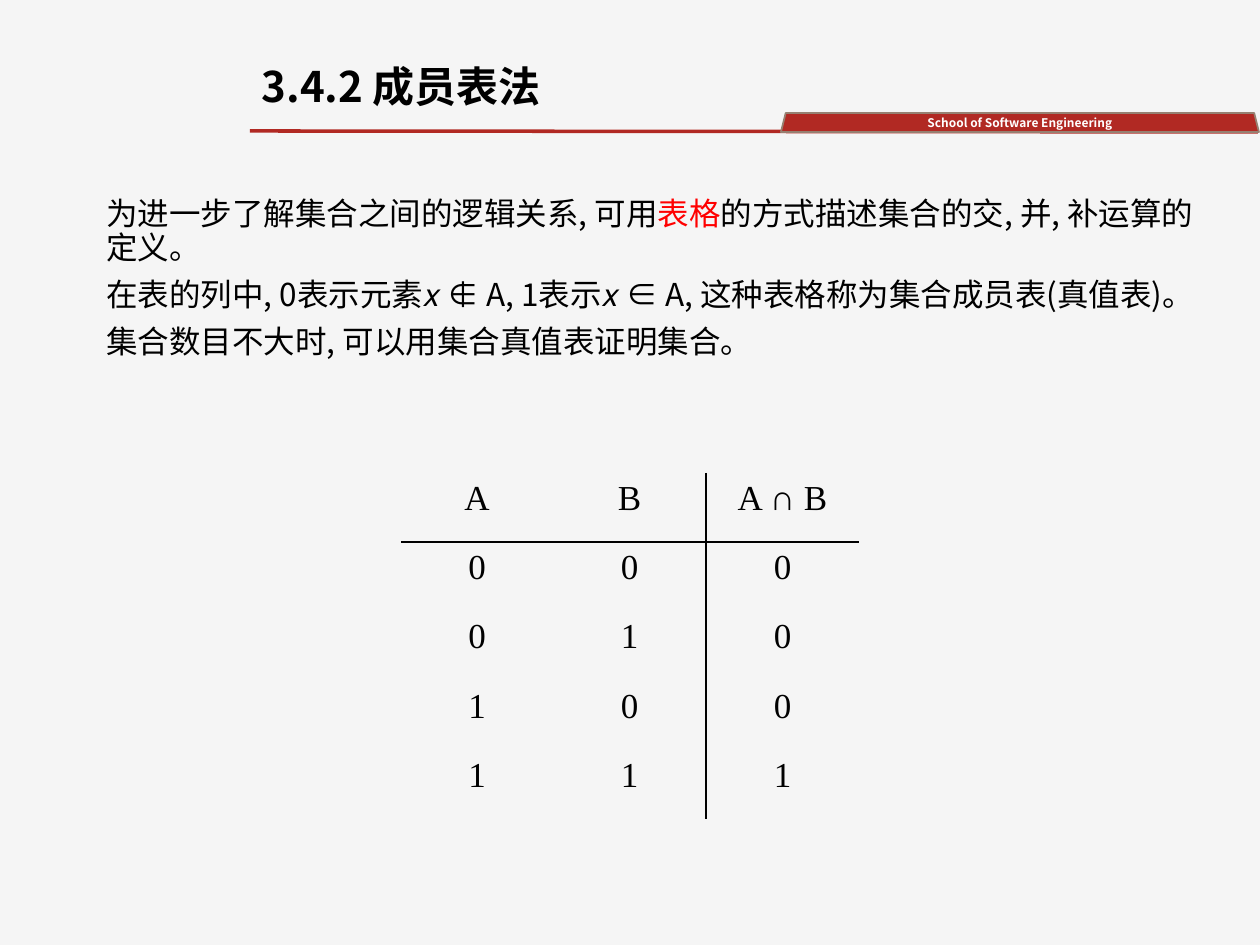
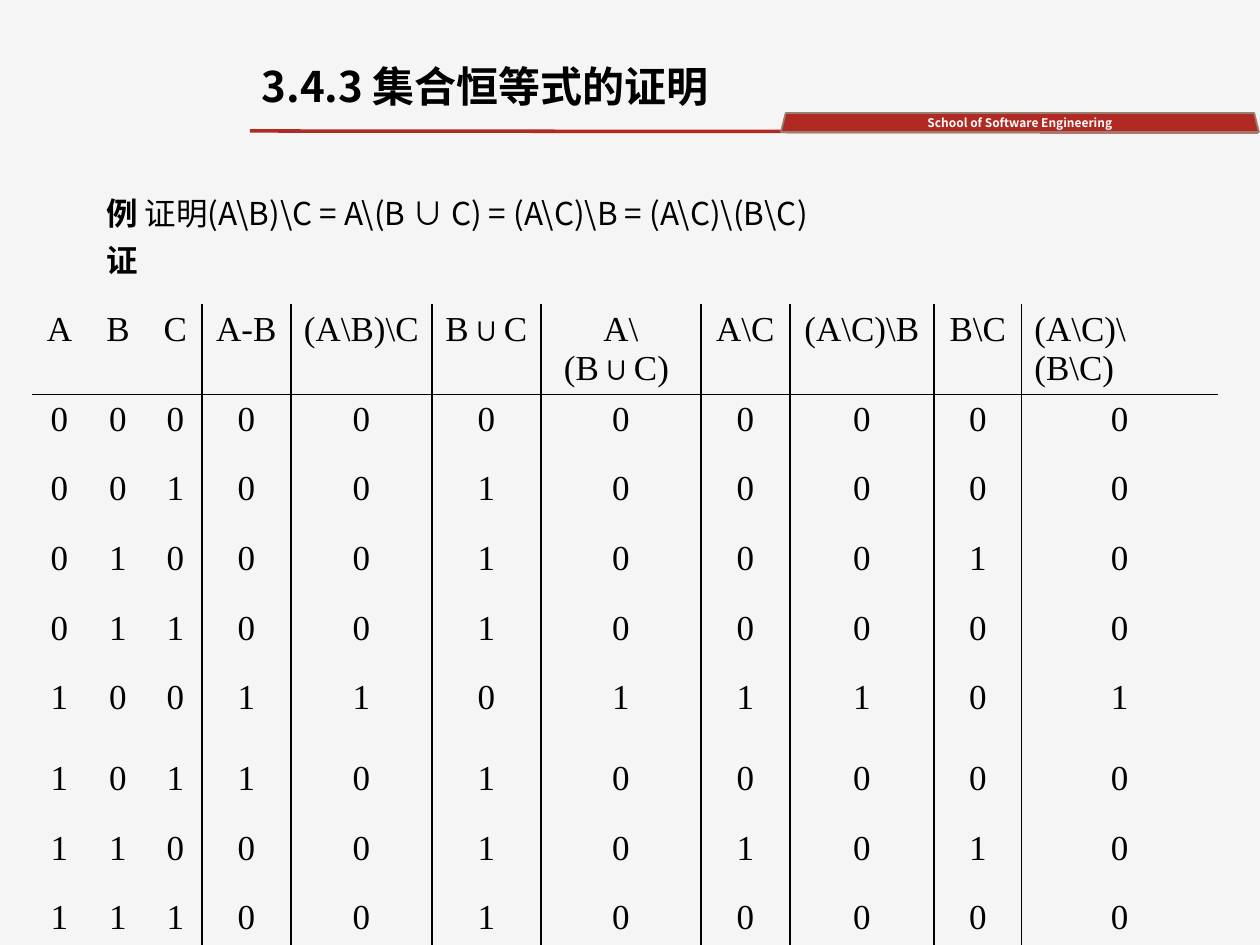
from itertools import product
from lxml.etree import SubElement
from pptx import Presentation
from pptx.dml.color import RGBColor
from pptx.enum.shapes import MSO_CONNECTOR, MSO_SHAPE
from pptx.enum.text import MSO_ANCHOR, MSO_AUTO_SIZE, PP_ALIGN
from pptx.oxml import parse_xml
from pptx.oxml.ns import nsdecls, qn
from pptx.util import Emu, Pt

COLORS = {"back": "F5F5F5", "band": "B12923", "edge": "968071",
          "ink": "000000", "white": "FFFFFF", "mark": "FF0000"}
RGB = {name: RGBColor.from_string(code) for name, code in COLORS.items()}
SANS, SERIF = "Noto Sans CJK SC", "Times New Roman"
PLAIN_TABLE = "{2D5ABB26-0587-4C30-8999-92F81FD0307C}"
LINE_GAP = 0.9
HEAD_ROW = 69
INK_LINE = f'<a:solidFill><a:srgbClr val="{COLORS["ink"]}"/></a:solidFill>'


def px(*sizes):
    """Turn lengths at 126 px to the inch into EMU."""
    return [Emu(round(size * 914400 / 126)) for size in sizes]


def style(par, size, color="ink", face=SANS, bold=False, align=PP_ALIGN.LEFT):
    """Format a paragraph, with one face for Latin and Chinese text."""
    par.alignment = align
    font = par.font
    font.size, font.bold, font.name = Pt(size), bold, face
    font.color.rgb = RGB[color]
    SubElement(font._element, qn("a:ea"), typeface=face)


pages = [
    {
        "title": "3.4.2 成员表法",
        # Each run is its text and its look: plain, bold or mark
        "body": [
            [("为进一步了解集合之间的逻辑关系, 可用", "plain"), ("表格", "mark"),
             ("的方式描述集合的交, 并, 补运算的定义。", "plain")],
            [("在表的列中, 0表示元素𝑥 ∉ A, 1表示𝑥 ∈ A, "
              "这种表格称为集合成员表(真值表)。", "plain")],
            [("集合数目不大时, 可以用集合真值表证明集合。", "plain")],
        ],
        "heads": ["A", "B", "A ∩ B"],
        "rows": [(a, b, a & b) for a, b in product((0, 1), repeat=2)],
        "place": (401, 473),
        "cols": [152, 153, 153],
        "heights": [69, 70, 69, 69],
        "sets": 2,
    },
    {
        "title": "3.4.3 集合恒等式的证明",
        "body": [
            [("例 ", "bold"),
             ("证明(A\\B)\\C = A\\(B ∪ C) = (A\\C)\\B = (A\\C)\\(B\\C)", "plain")],
            [("证", "bold")],
        ],
        "heads": ["A", "B", "C", "A-B", "(A\\B)\\C", "B∪C", "A\\(B∪C) ", "A\\C",
                  "(A\\C)\\B", "B\\C", "(A\\C)\\(B\\C)"],
        "rows": [(a, b, c, a & ~b, a & ~b & ~c, b | c, a & ~(b | c), a & ~c,
                  a & ~c & ~b, b & ~c, a & ~c & ~(b & ~c))
                 for a, b, c in product((0, 1), repeat=3)],
        "place": (32, 304),
        "cols": [55, 62, 53, 89, 141, 109, 160, 89, 144, 88, 196],
        "heights": [69, 70, 70, 69, 81, 70, 69, 70],
        "sets": 3,
    },
]

deck = Presentation()
deck.slide_width, deck.slide_height = px(1260, 945)
back = deck.slide_master.background.fill
back.solid()
back.fore_color.rgb = RGB["back"]

for page in pages:
    slide = deck.slides.add_slide(deck.slide_layouts[5])
    shapes = slide.shapes

    # Red rule and school band
    rule = shapes.add_connector(MSO_CONNECTOR.STRAIGHT, *px(250, 131, 1258, 132))
    rule.line.color.rgb = RGB["band"]
    rule.line.width = Pt(2)
    SubElement(rule._element.spPr, qn("a:effectLst"))
    band = shapes.add_shape(MSO_SHAPE.TRAPEZOID, *px(781, 113, 478, 19))
    band.shadow.inherit = False
    band.fill.solid()
    band.fill.fore_color.rgb = RGB["band"]
    band.line.color.rgb = RGB["edge"]
    band.line.width = Pt(1)
    frame = band.text_frame
    frame.margin_top = frame.margin_bottom = 0
    frame.vertical_anchor = MSO_ANCHOR.MIDDLE
    frame.text = "School of Software Engineering"
    style(frame.paragraphs[0], 6.8, "white", bold=True, align=PP_ALIGN.CENTER)

    # Title
    title = shapes.title
    title.left, title.top, title.width, title.height = px(249, 60, 573, 71)
    frame = title.text_frame
    frame.text = page["title"]
    frame.auto_size = MSO_AUTO_SIZE.NONE
    frame.vertical_anchor = MSO_ANCHOR.TOP
    style(frame.paragraphs[0], 24, bold=True)
    frame.paragraphs[0].line_spacing = LINE_GAP

    # Body text
    frame = shapes.add_textbox(*px(94, 192, 1124, 656)).text_frame
    frame.word_wrap = True
    for n, runs in enumerate(page["body"]):
        par = frame.add_paragraph() if n else frame.paragraphs[0]
        style(par, 18)
        par.line_spacing = LINE_GAP
        par.space_before = Pt(7.5)
        for text, look in runs:
            run = par.add_run()
            run.text = text
            if look == "bold":
                run.font.bold = True
            elif look == "mark":
                run.font.color.rgb = RGB["mark"]

    # Truth table
    heights = [HEAD_ROW] + page["heights"]
    grid = [page["heads"]] + page["rows"]
    size = sum(page["cols"]), sum(heights)
    table = shapes.add_table(len(grid), len(page["cols"]),
                             *px(*page["place"], *size)).table
    table.first_row = table.horz_banding = False
    table._tbl.tblPr.find(qn("a:tableStyleId")).text = PLAIN_TABLE
    for col, width in zip(table.columns, px(*page["cols"])):
        col.width = width
    for row, height in zip(table.rows, px(*heights)):
        row.height = height
    last = len(page["cols"]) - 1
    for r, values in enumerate(grid):
        for c, value in enumerate(values):
            cell = table.cell(r, c)
            cell.text = str(value)
            cell.margin_bottom = 0
            style(cell.text_frame.paragraphs[0], 20, face=SERIF,
                  align=PP_ALIGN.CENTER)
            sides = {"lnL": c >= page["sets"],
                     "lnR": page["sets"] - 1 <= c < last,
                     "lnT": r == 1, "lnB": r == 0}
            for side, drawn in sides.items():
                paint = INK_LINE if drawn else "<a:noFill/>"
                cell._tc.get_or_add_tcPr().append(parse_xml(
                    f'<a:{side} {nsdecls("a")} w="12700">{paint}</a:{side}>'))
            cell.fill.background()
    if page["sets"] == 3:
        table.cell(0, last).text_frame.paragraphs[0].alignment = PP_ALIGN.LEFT

deck.save("out.pptx")
